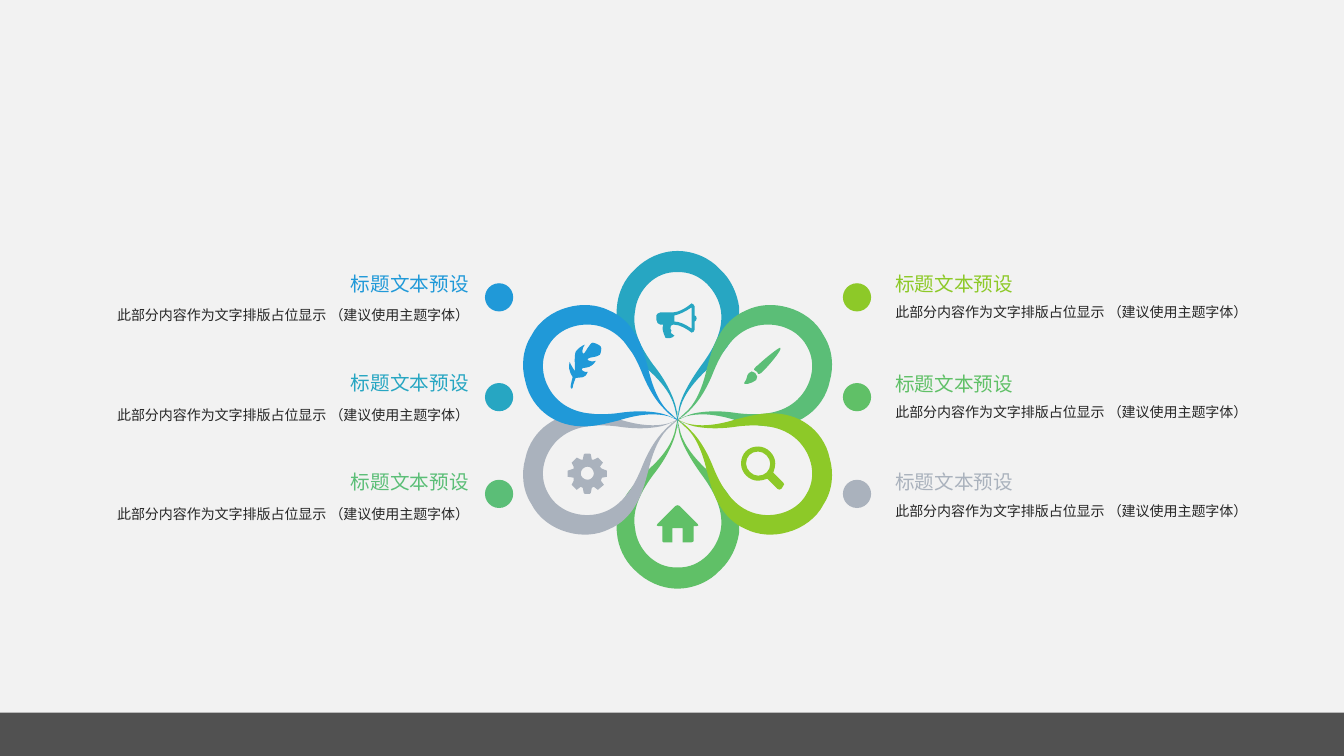
"""Build a slide with a six-petal flower of icons and three captions on each side."""
from lxml import etree
from pptx import Presentation
from pptx.dml.color import RGBColor
from pptx.enum.shapes import MSO_SHAPE
from pptx.enum.text import MSO_ANCHOR, PP_ALIGN
from pptx.oxml.ns import qn
from pptx.util import Inches, Pt

RECT, OVAL = MSO_SHAPE.RECTANGLE, MSO_SHAPE.OVAL
TOP, MIDDLE, BOTTOM = MSO_ANCHOR.TOP, MSO_ANCHOR.MIDDLE, MSO_ANCHOR.BOTTOM
LEFT, RIGHT = PP_ALIGN.LEFT, PP_ALIGN.RIGHT

BLUE, TEAL, GREEN = "2099D8", "27A6C2", "5BBE77"
LIME, LEAF, GREY = "8DC928", "60C067", "AAB2BD"
PAPER, INK, BAR = "F2F2F2", "262626", "0D0D0D"
FONT = "Calibri"
HEADING = "标题文本预设"
BODY = "此部分内容作为文字排版占位显示 （建议使用主题字体）"

DOWN_PETAL = """M696,471 C707,486 718,505 715,525 712,544 695,564 672,563 649,564 632,544 630,525
 626,505 637,486 648,471 660,456 666,443 669,434 672,425 672,418 672,419
 673,418 672,425 675,434 678,443 685,456 696,471
 M643,466 C635,475 626,483 620,493 614,504 610,516 612,529 613,542 619,556 630,566
 641,577 656,584 672,584 688,584 704,577 714,566 725,556 731,542 733,529
 734,516 730,504 724,493 718,483 709,475 701,466 685,451 676,437 674,425
 671,414 672,408 672,408 672,408 673,414 670,425 668,437 660,451 643,466"""
SIDE_PETAL = """M732,423 C750,421 772,421 788,434 803,446 812,470 800,490 789,510 763,515 745,508
 726,501 715,482 708,465 701,447 693,435 686,428 680,421 674,418 674,418
 675,417 680,421 689,423 699,425 713,426 732,423
 M701,467 C704,478 707,490 713,500 719,511 728,520 740,525 752,531 767,532 781,528
 796,524 810,514 817,500 826,486 827,469 823,455 820,440 811,428 801,421
 790,413 777,410 765,410 753,410 742,413 730,416 708,423 692,423 681,420
 670,416 665,412 665,412 665,412 671,415 679,423 688,430 696,445 701,467"""
HOUSE = """M692,520 L674,502 C673,501 671,501 670,502 L652,520 C651,521 651,522 653,522
 L657,522 657,536 C657,537 657,538 658,538 L667,538 667,524 677,524 677,538 686,538
 C688,538 688,537 688,536 L688,522 691,522 C693,522 693,521 692,520"""
BRUSH = """M774,345 C773,344 757,357 752,362 749,364 749,365 748,366 L748,367
 751,369 752,371 753,371 C754,371 755,370 758,367 762,363 776,347 774,345
 M743,370 C740,372 742,375 738,380 737,382 745,381 750,377 752,375 751,372 749,370
 747,368 744,368 743,370"""
MAGNIFIER = """M740,460 C740,453 745,448 752,448 758,448 764,454 764,460 764,467 759,472 752,472
 746,472 740,466 740,460
 M777,479 L767,469 C768,466 769,463 769,460 769,451 761,443 752,443 742,443 735,450 735,460
 735,469 743,477 752,477 755,477 758,476 761,475 L771,485 C772,486 774,486 775,485
 L777,482 C778,481 778,480 777,479"""
FEATHER = """M568,385 C568,383 569,380 571,375 577,374 580,376 583,369 580,370 576,367 577,366
 577,364 586,367 591,358 584,360 582,356 583,356 585,354 591,355 595,352
 596,350 597,346 596,344 596,343 590,340 588,340 585,340 580,351 579,351
 577,351 577,346 580,342 577,343 573,346 571,349 569,355 571,367 570,368
 570,368 566,362 565,359 564,364 564,368 568,374 567,378 566,382 566,384 566,386 567,386 568,385"""
MEGAPHONE = """M691,316 C691,317 690,319 689,319 L689,327 C689,329 687,330 686,330
 682,327 675,322 668,322 665,322 664,326 666,328 664,330 667,332 669,333
 667,336 661,336 660,335 658,330 656,326 658,322 L655,322 C653,322 651,320 651,317
 L651,313 C651,312 653,310 655,310 L666,310 C674,310 681,305 686,301 687,301 689,303 689,304
 L689,313 C690,313 691,314 691,316
 M686,305 C680,309 674,312 669,313 L669,319 C674,319 680,322 686,326 L686,305"""
GEAR = """M602,473 L597,474 596,477 599,481 593,486 589,483 587,484 586,489 585,490 580,490
 579,489 578,484 576,483 572,486 567,481 569,477 569,474 563,473 563,467
 569,465 569,463 567,459 572,454 576,456 578,456 579,451 580,450 585,450 586,451
 587,456 589,456 593,454 598,459 595,463 597,465 602,467
 M583,463 C579,463 576,466 576,470 576,473 579,476 583,476 586,476 589,473 589,470
 589,466 586,463 583,463"""


def paint(fill, color):
    """Make a fill solid in a hex colour."""
    fill.solid()
    fill.fore_color.rgb = RGBColor.from_string(color)


def draw_outline(s, outline, color, flip_x=False, flip_y=False):
    """Draw M, L and C steps, in hundredths of an inch, as a curved freeform."""
    contours, steps = [], []
    for token in outline.split():
        if token[0] in "MLC":
            step, token = token[0], token[1:]
        x, y = map(int, token.split(","))
        point = (1344 - x if flip_x else x, 833 - y if flip_y else y)
        if step == "M":
            contours.append([point])
        else:
            contours[-1].append(point)
            steps.append(step)
    builder = s.shapes.build_freeform(*contours[0][0], scale=Inches(0.01))
    for i, contour in enumerate(contours):
        if i:
            builder.move_to(*contour[0])
        builder.add_line_segments(contour[1:], close=True)
    sp = builder.convert_to_shape()
    curve = []
    for step, line in zip(steps, list(sp._element.iter(qn("a:lnTo")))):
        if step == "C":
            if len(curve) % 3 == 0:
                curve = line.makeelement(qn("a:cubicBezTo"))
                line.addprevious(curve)
            curve.append(line[0])
            line.getparent().remove(line)
    sp.shadow.inherit = False
    sp.line.fill.background()
    paint(sp.fill, color)


prs = Presentation()
prs.slide_width, prs.slide_height = Inches(13.33), Inches(7.5)
s = prs.slides.add_slide(prs.slide_layouts[6])
paint(s.background.fill, PAPER)

bar = s.shapes.add_shape(RECT, 0, Inches(7.07), prs.slide_width, Inches(0.43))
bar.shadow.inherit = False
bar.line.fill.background()
paint(bar.fill, BAR)
bar_color = bar._element.spPr.find(".//" + qn("a:srgbClr"))
etree.SubElement(bar_color, qn("a:alpha")).set("val", "70000")

petals = [
    (DOWN_PETAL, LEAF, False, False, HOUSE),
    (DOWN_PETAL, TEAL, False, True, MEGAPHONE),
    (SIDE_PETAL, GREEN, False, True, BRUSH),
    (SIDE_PETAL, LIME, False, False, MAGNIFIER),
    (SIDE_PETAL, GREY, True, False, GEAR),
    (SIDE_PETAL, BLUE, True, True, FEATHER),
]
for petal, color, flip_x, flip_y, icon in petals:
    draw_outline(s, petal, color, flip_x, flip_y)
    draw_outline(s, icon, color)

rows = [(2.69, 2.81), (3.68, 3.8), (4.66, 4.76)]
sides = [
    dict(colors=(LIME, LEAF, GREY), dot=8.36, heading=(8.64, 1.42), body=8.64,
         align=LEFT, anchors=(BOTTOM, TOP), insets=(0, 0.1)),
    dict(colors=(BLUE, TEAL, GREEN), dot=4.81, heading=(3.23, 1.58), body=0.54,
         align=RIGHT, anchors=(MIDDLE, MIDDLE), insets=(0.16, 0.16)),
]
for side in sides:
    for color, (top, dot_top) in zip(side["colors"], rows):
        dot = s.shapes.add_shape(OVAL, Inches(side["dot"]), Inches(dot_top),
                                 Inches(0.28), Inches(0.28))
        dot.shadow.inherit = False
        dot.line.fill.background()
        paint(dot.fill, color)

        left, width = side["heading"]
        captions = [
            (HEADING, (left, top, width, 0.24), 14, color, False, 0, 1),
            (BODY, (side["body"], top + 0.24, 4.27, 0.36), 10, INK, True, 0.05, 1.2),
        ]
        for caption, anchor, inset in zip(captions, side["anchors"], side["insets"]):
            text, box, size, text_color, wrap, margin, spacing = caption
            tf = s.shapes.add_textbox(*map(Inches, box)).text_frame
            frame = dict(word_wrap=wrap, vertical_anchor=anchor,
                         margin_left=Inches(0.24), margin_right=Inches(inset),
                         margin_top=Inches(margin), margin_bottom=Inches(margin))
            p = tf.paragraphs[0]
            r = p.add_run()
            r.text = text
            paint(r.font.fill, text_color)
            for target, values in (
                (tf, frame),
                (p, dict(alignment=side["align"], line_spacing=spacing)),
                (r.font, dict(name=FONT, size=Pt(size))),
            ):
                for name, value in values.items():
                    setattr(target, name, value)

prs.save("out.pptx")
